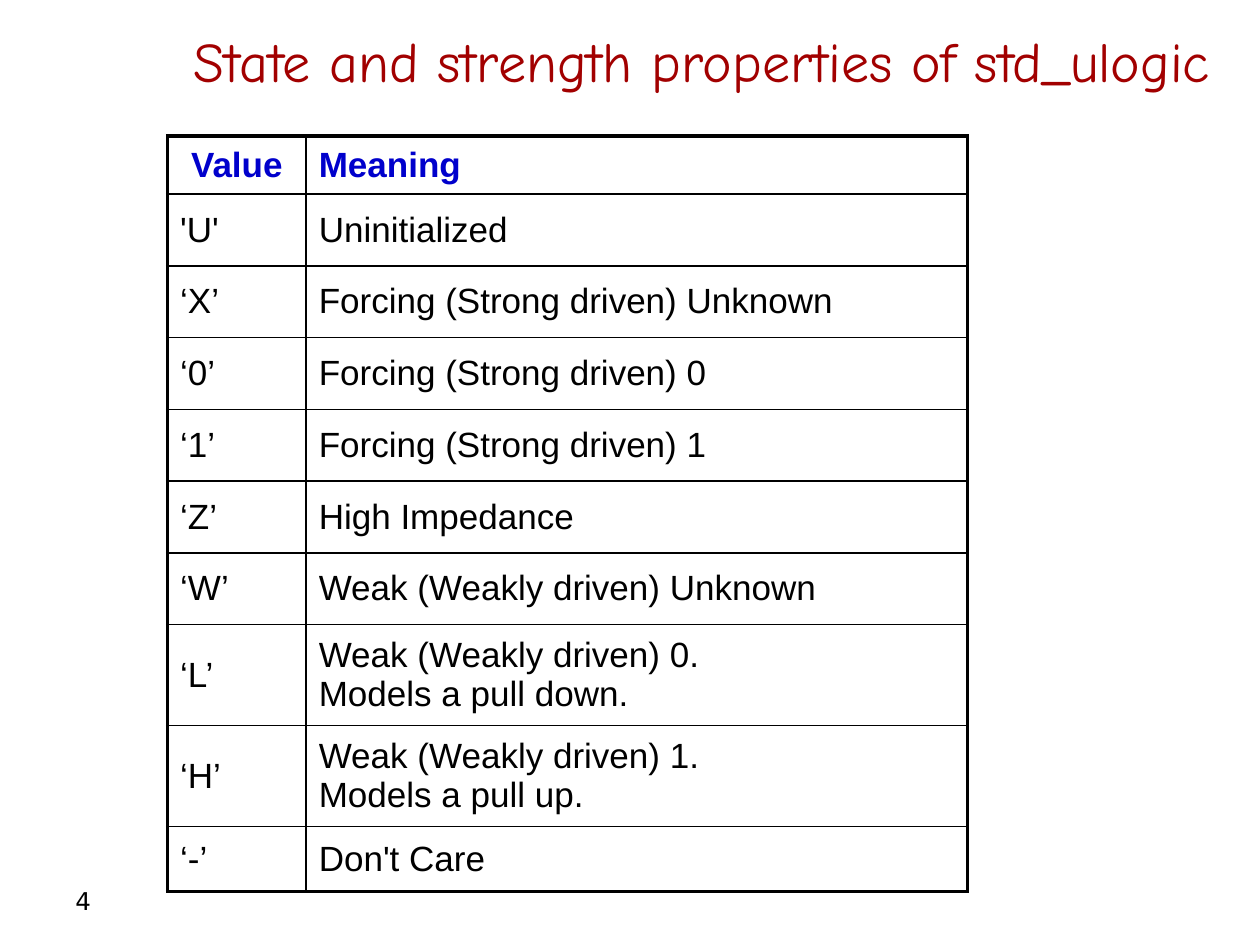
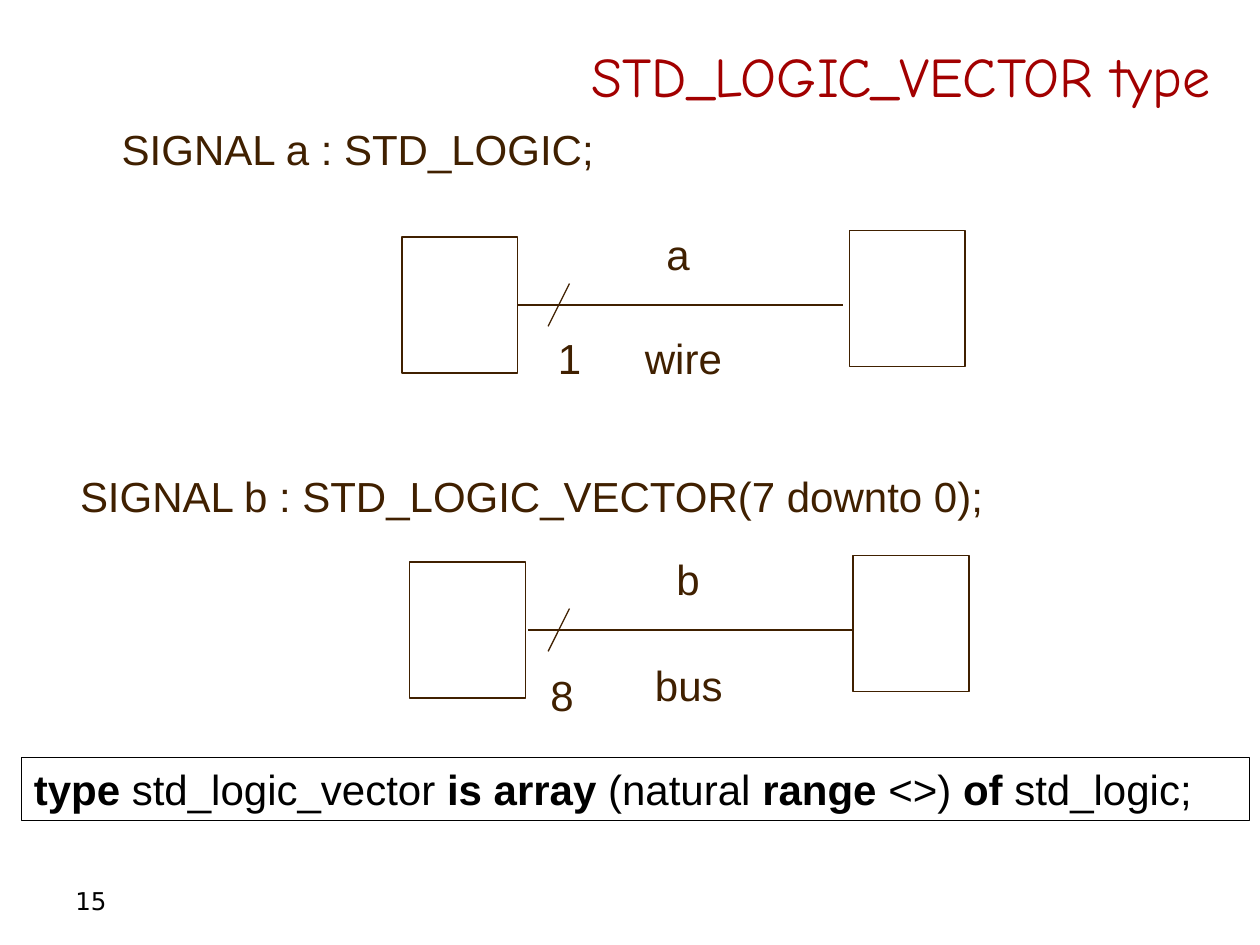
import lxml.etree
import pptx
import pptx.dml.color
import pptx.enum.shapes
import pptx.enum.text
import pptx.oxml.ns
import pptx.util

ANCHOR = pptx.enum.text.MSO_ANCHOR
ALIGN = pptx.enum.text.PP_ALIGN
COLUMNS, ROWS = 100, 75
RIGHT_SIDE = 3

THEME = {
    "colors": {"title": "A20000", "heading": "0000CC", "diagram": "402000", "text": "000000"},
    "fonts": {
        "title": {"name": "Comic Neue", "size": pptx.util.Pt(32)},
        "heading": {"name": "Arial", "size": pptx.util.Pt(20), "bold": True},
        "cell": {"name": "Arial", "size": pptx.util.Pt(20)},
        "diagram": {"name": "Arial", "size": pptx.util.Pt(24)},
        "code": {"name": "Arial", "size": pptx.util.Pt(24)},
        "number": {"name": "DejaVu Sans", "size": pptx.util.Pt(14)},
    },
    "lines": {"diagram": 0.75, "frame": 0.5, "outer": 2.25, "inner": 1},
}

STD_ULOGIC_VALUES = [
    ("Value", "Meaning"),
    ("'U'", "Uninitialized"),
    ("‘X’", "Forcing (Strong driven) Unknown"),
    ("‘0’", "Forcing (Strong driven) 0"),
    ("‘1’", "Forcing (Strong driven) 1"),
    ("‘Z’", "High Impedance"),
    ("‘W’", "Weak (Weakly driven) Unknown"),
    ("‘L’", "Weak (Weakly driven) 0.\nModels a pull down."),
    ("‘H’", "Weak (Weakly driven) 1.\nModels a pull up."),
    ("‘-’", "Don't Care"),
]
VALUE_ROWS = [4.6] + [5.7] * 6 + [8, 8, 5.2]

SIGNALS = [
    {
        "declaration": ("SIGNAL a : STD_LOGIC;", (8.5, 9.2, 39.8, 5.1)),
        "level": 24.2,
        "boxes": (31.9, 67.4),
        "wire": (41.1, 66.9),
        "joined": True,
        "labels": [
            ("a", (41.9, 17.5, 14, 5.1)),
            ("wire", (40.2, 25.8, 18.3, 5.1)),
            ("1", (33.3, 25.8, 14, 5.1)),
        ],
    },
    {
        "declaration": ("SIGNAL b : STD_LOGIC_VECTOR(7 downto 0);", (5, 36.7, 74.4, 5.1)),
        "level": 50,
        "boxes": (32.5, 67.7),
        "wire": (41.9, 67.7),
        "joined": False,
        "labels": [
            ("b", (42.7, 43.3, 14, 5.1)),
            ("bus", (41, 51.7, 17.6, 5.1)),
            ("8", (32.7, 52.5, 14, 5.1)),
        ],
    },
]

TYPE_DEFINITION = [
    ("type", True),
    (" std_logic_vector ", False),
    ("is array ", True),
    ("(natural ", False),
    ("range", True),
    (" <>) ", False),
    ("of", True),
    (" std_logic;", False),
]


class Deck:
    """Draws styled elements on the current slide, placed on a grid of columns and rows."""

    def __init__(self, theme):
        self.theme = theme
        self.presentation = pptx.Presentation()
        self.presentation.slide_width = pptx.util.Inches(10)
        self.presentation.slide_height = pptx.util.Inches(7.5)
        self.slide = None

    def x(self, columns):
        return round(self.presentation.slide_width * columns / COLUMNS)

    def y(self, rows):
        return round(self.presentation.slide_height * rows / ROWS)

    def place(self, left, top, width, height):
        return self.x(left), self.y(top), self.x(width), self.y(height)

    def color(self, name):
        return pptx.dml.color.RGBColor.from_string(self.theme["colors"][name])

    def stroke(self, line, color, width):
        line.color.rgb = self.color(color)
        line.width = pptx.util.Pt(self.theme["lines"][width])

    def typeset(self, frame, spans, style, color, align=ALIGN.LEFT):
        paragraph = frame.paragraphs[0]
        paragraph.alignment = align
        for text, bold in spans:
            for index, line in enumerate(text.split("\n")):
                if index:
                    paragraph.add_line_break()
                run = paragraph.add_run()
                run.text = line
                values = {"bold": bold, **self.theme["fonts"][style]}
                for name, value in values.items():
                    setattr(run.font, name, value)
                run.font.color.rgb = self.color(color)
        return paragraph

    def set_frame(self, frame, anchor):
        values = {
            "word_wrap": True,
            "vertical_anchor": anchor,
            "auto_size": pptx.enum.text.MSO_AUTO_SIZE.NONE,
        }
        for name, value in values.items():
            setattr(frame, name, value)

    def start_slide(self, title, title_top, number):
        layout = self.presentation.slide_layouts.get_by_name("Title Only")
        self.slide = self.presentation.slides.add_slide(layout)
        shape = self.slide.shapes.title
        shape.left, shape.top, shape.width, shape.height = self.place(2.5, title_top, 94.6, 7)
        self.set_frame(shape.text_frame, ANCHOR.MIDDLE)
        self.typeset(shape.text_frame, [(title, False)], "title", "title", ALIGN.RIGHT)
        self.text(number, (5, 69.5, 23.3, 4), "number", "text", anchor=ANCHOR.MIDDLE)

    def text(self, text, area, style, color, align=ALIGN.LEFT, anchor=ANCHOR.BOTTOM, indent=0):
        shape = self.slide.shapes.add_textbox(*self.place(*area))
        self.set_frame(shape.text_frame, anchor)
        paragraph = self.typeset(shape.text_frame, [(text, False)], style, color, align)
        if indent:
            paragraph._p.get_or_add_pPr().set("marL", str(self.x(indent)))

    def rectangle(self, area, color, width):
        kind = pptx.enum.shapes.MSO_SHAPE.RECTANGLE
        shape = self.slide.shapes.add_shape(kind, *self.place(*area))
        shape.shadow.inherit = False
        shape.fill.background()
        self.stroke(shape.line, color, width)
        return shape

    def line(self, start, end, start_shape=None):
        connector = self.slide.shapes.add_connector(
            pptx.enum.shapes.MSO_CONNECTOR.STRAIGHT,
            self.x(start[0]), self.y(start[1]), self.x(end[0]), self.y(end[1]),
        )
        self.stroke(connector.line, "diagram", "diagram")
        properties = connector._element.spPr
        lxml.etree.SubElement(properties, pptx.oxml.ns.qn("a:effectLst"))
        if start_shape is not None:
            connector.begin_connect(start_shape, RIGHT_SIDE)

    def border(self, cell, side, width):
        properties = cell._tc.get_or_add_tcPr()
        points = pptx.util.Pt(self.theme["lines"][width])
        edge = lxml.etree.SubElement(properties, pptx.oxml.ns.qn(f"a:ln{side}"), w=str(points))
        fill = lxml.etree.SubElement(edge, pptx.oxml.ns.qn("a:solidFill"))
        value = self.theme["colors"]["text"]
        lxml.etree.SubElement(fill, pptx.oxml.ns.qn("a:srgbClr"), val=value)

    def table(self, contents, left, top, widths, heights):
        area = self.place(left, top, sum(widths), sum(heights))
        table = self.slide.shapes.add_table(len(heights), len(widths), *area).table
        table.first_row = table.horz_banding = False
        for column, width in zip(table.columns, widths):
            column.width = self.x(width)
        for row, height in zip(table.rows, heights):
            row.height = self.y(height)
        last_row, last_column = len(heights) - 1, len(widths) - 1
        for row, texts in enumerate(contents):
            for column, text in enumerate(texts):
                cell = table.cell(row, column)
                outer = {
                    "L": column == 0,
                    "R": column == last_column,
                    "T": row == 0,
                    "B": row == last_row,
                }
                for side, is_outer in outer.items():
                    self.border(cell, side, "outer" if is_outer else "inner")
                cell.fill.background()
                cell.vertical_anchor = ANCHOR.MIDDLE
                style, color = ("cell", "text") if row else ("heading", "heading")
                align = ALIGN.LEFT if row or column else ALIGN.CENTER
                self.typeset(cell.text_frame, [(text, False)], style, color, align)

    def signal(self, declaration, level, boxes, wire, joined, labels):
        text, area = declaration
        self.text(text, area, "diagram", "diagram", ALIGN.CENTER)
        width, height = 9.2, 10.8
        top = level - height / 2
        source = self.rectangle((boxes[0], top, width, height), "diagram", "diagram")
        self.rectangle((boxes[1], top - 0.5, width, height), "diagram", "diagram")
        self.line((wire[0], level), (wire[1], level), source if joined else None)
        self.line((45.2, level - 1.7), (43.5, level + 1.7))
        for label, label_area in labels:
            self.text(label, label_area, "diagram", "diagram", indent=10)

    def code(self, spans, area):
        shape = self.rectangle(area, "text", "frame")
        self.set_frame(shape.text_frame, ANCHOR.BOTTOM)
        self.typeset(shape.text_frame, spans, "code", "text")


def main():
    deck = Deck(THEME)
    deck.start_slide("State and strength properties of std_ulogic", 1.3, "4")
    deck.table(STD_ULOGIC_VALUES, 13.3, 10.8, [11, 52.5], VALUE_ROWS)

    deck.start_slide("STD_LOGIC_VECTOR type", 2.5, "15")
    for signal in SIGNALS:
        deck.signal(**signal)
    deck.code(TYPE_DEFINITION, (1.7, 60.1, 97.5, 5))
    deck.presentation.save("out.pptx")


if __name__ == "__main__":
    main()
